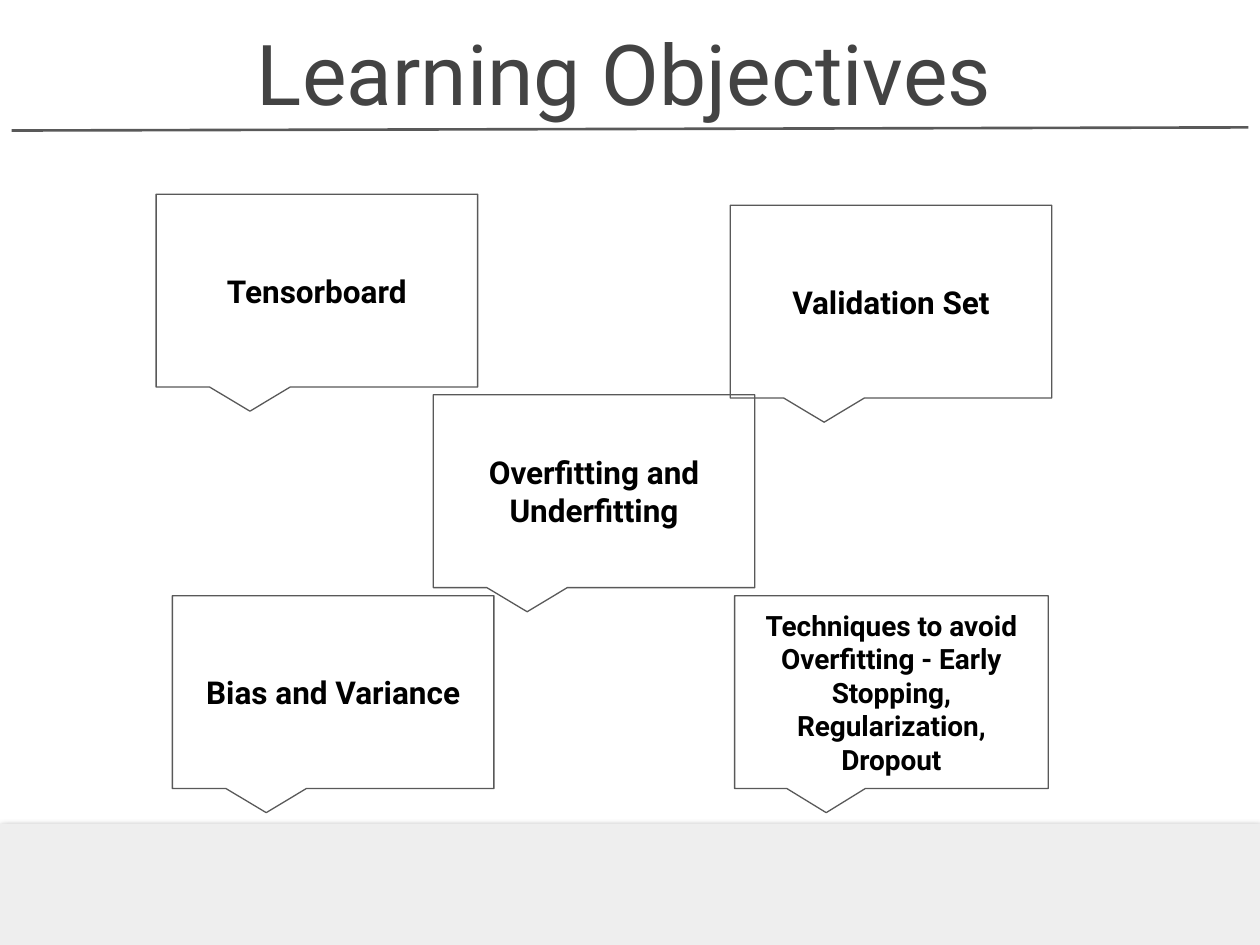
from dataclasses import dataclass

from lxml import etree
from pptx import Presentation
from pptx.dml.color import RGBColor
from pptx.enum import shapes, text
from pptx.oxml import ns
from pptx.util import Pt

FONT = "Roboto"
TITLE_GREY = RGBColor(0x43, 0x43, 0x43)
OUTLINE_GREY = RGBColor(0x59, 0x59, 0x59)
BAND_GREY = RGBColor(0xEE, 0xEE, 0xEE)
BLACK = RGBColor(0, 0, 0)

SLIDE_WIDTH, SLIDE_HEIGHT = 720, 540
INSET = 7.2
CALLOUT_HEIGHT = 110.2
CALLOUT_POINTER = (-0.208, 0.625, 0)  # tip x, tip y, corner radius


@dataclass
class Objective:
    wording: str
    left: float
    top: float
    width: float = 183.7
    size: float = 18


OBJECTIVES = [
    Objective("Tensorboard", 89.2, 111),
    Objective("Techniques to avoid Overfitting - Early Stopping, "
              "Regularization, Dropout", 419.8, 340.4, 179.2, 16),
    Objective("Bias and Variance", 98.5, 340.4),
    Objective("Validation Set", 417.3, 117.3),
    Objective("Overfitting and Underfitting", 247.6, 225.6),
]


def set_text(frame, wording: str, size: float, color: RGBColor,
             anchor, bold: bool = False) -> None:
    frame.text = wording
    frame.word_wrap = True
    frame.auto_size = text.MSO_AUTO_SIZE.NONE
    frame.vertical_anchor = anchor
    frame.margin_left = frame.margin_right = Pt(INSET)
    frame.margin_top = frame.margin_bottom = Pt(INSET)
    paragraph = frame.paragraphs[0]
    paragraph.alignment = text.PP_ALIGN.CENTER
    font = paragraph.font
    font.name, font.size, font.bold = FONT, Pt(size), bold
    font.color.rgb = color


def add_title(slide, wording: str) -> None:
    title = slide.shapes.title
    title.left, title.top = Pt(93.6), Pt(13.7)
    title.width, title.height = Pt(526.3), Pt(63.4)
    set_text(title.text_frame, wording, 48, TITLE_GREY, text.MSO_ANCHOR.BOTTOM)


def add_title_rule(slide) -> None:
    rule = slide.shapes.add_connector(
        shapes.MSO_CONNECTOR.STRAIGHT, Pt(6.6), Pt(74.6), Pt(713.4), Pt(72.8))
    rule.line.color.rgb = OUTLINE_GREY
    rule.line.width = Pt(1.5)
    etree.SubElement(rule._element.spPr, ns.qn("a:effectLst"))


def add_footer_band(slide) -> None:
    band = slide.shapes.add_shape(
        shapes.MSO_SHAPE.RECTANGLE, 0, Pt(470.6), Pt(SLIDE_WIDTH), Pt(72.7))
    band.fill.solid()
    band.fill.fore_color.rgb = BAND_GREY
    band.line.fill.background()
    # Soft shadow, cast straight down
    band.shadow.inherit = False
    effects = band._element.spPr.find(ns.qn("a:effectLst"))
    shadow = etree.SubElement(
        effects, ns.qn("a:outerShdw"), blurRad=str(Pt(4.5)),
        dist=str(Pt(1.5)), dir="5400000", algn="bl", rotWithShape="0")
    color = etree.SubElement(shadow, ns.qn("a:srgbClr"), val=str(BLACK))
    etree.SubElement(color, ns.qn("a:alpha"), val="50000")


def add_callout(slide, objective: Objective) -> None:
    callout = slide.shapes.add_shape(
        shapes.MSO_SHAPE.ROUNDED_RECTANGULAR_CALLOUT,
        Pt(objective.left), Pt(objective.top),
        Pt(objective.width), Pt(CALLOUT_HEIGHT))
    for index, value in enumerate(CALLOUT_POINTER):
        callout.adjustments[index] = value
    callout.shadow.inherit = False
    callout.fill.background()
    callout.line.color.rgb = OUTLINE_GREY
    callout.line.width = Pt(0.75)
    set_text(callout.text_frame, objective.wording, objective.size, BLACK,
             text.MSO_ANCHOR.MIDDLE, bold=True)


def main() -> None:
    deck = Presentation()
    deck.slide_width, deck.slide_height = Pt(SLIDE_WIDTH), Pt(SLIDE_HEIGHT)
    slide = deck.slides.add_slide(deck.slide_layouts.get_by_name("Title Only"))

    # Frame of the slide
    add_title_rule(slide)
    add_footer_band(slide)
    add_title(slide, "Learning Objectives")

    # One callout per objective
    for objective in OBJECTIVES:
        add_callout(slide, objective)

    deck.save("out.pptx")


if __name__ == "__main__":
    main()
